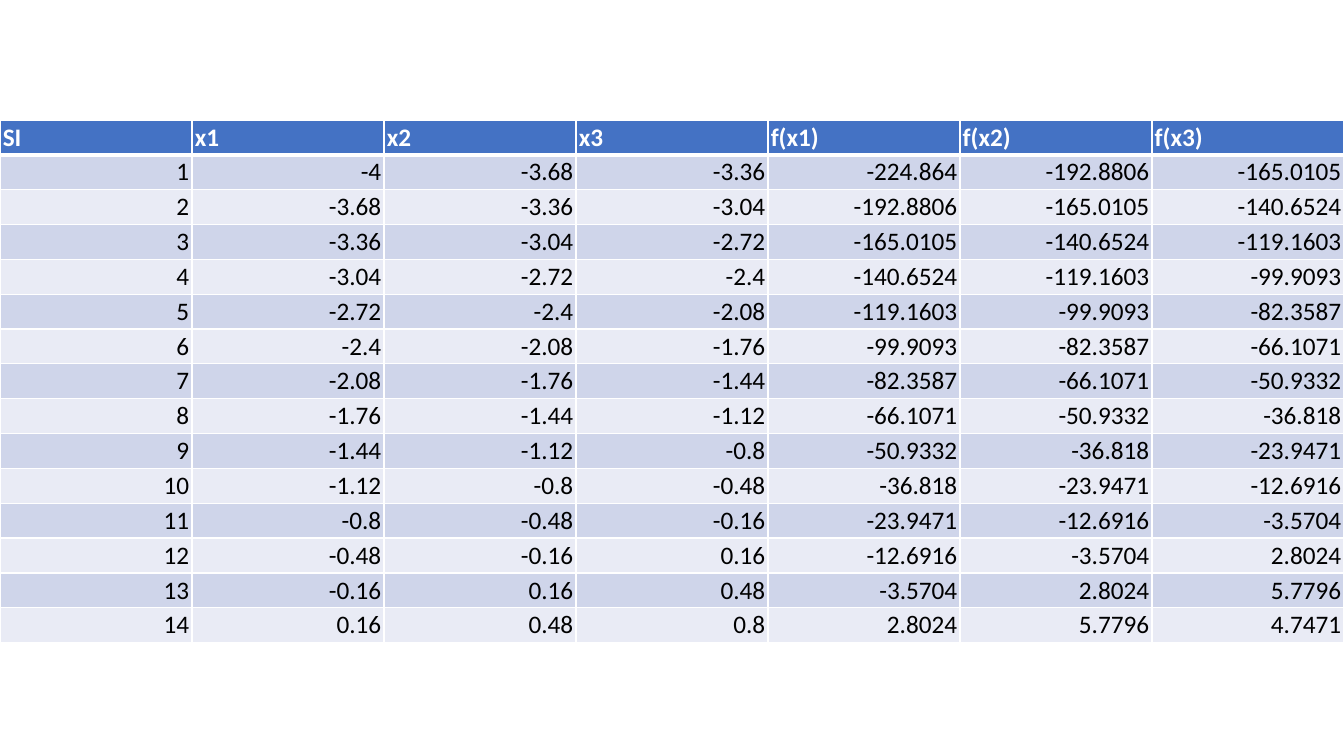
from dataclasses import dataclass
from typing import Any

from lxml.etree import SubElement
from pptx import Presentation
from pptx.dml.color import RGBColor
from pptx.enum.text import MSO_ANCHOR, PP_ALIGN
from pptx.oxml.ns import qn
from pptx.util import Pt

SLIDE_WIDTH, SLIDE_HEIGHT = Pt(960), Pt(540)
TABLE_TOP, TABLE_HEIGHT = Pt(85.7), Pt(368.6)
RULE_COLOUR = "FFFFFF"
THIN_RULE, HEADER_RULE = Pt(1), Pt(3)
CELL_FORMAT = {
    "vertical_anchor": MSO_ANCHOR.BOTTOM,
    "margin_left": Pt(2),
    "margin_right": Pt(2),
    "margin_top": Pt(1.45),
    "margin_bottom": Pt(1.45),
}

HEADINGS = ["SI", "x1", "x2", "x3", "f(x1)", "f(x2)", "f(x3)"]
X_START, X_STEP, POINTS_PER_ROW = -4, 0.32, 3
FUNCTION_VALUES = [
    -224.864, -192.8806, -165.0105, -140.6524, -119.1603, -99.9093,
    -82.3587, -66.1071, -50.9332, -36.818, -23.9471, -12.6916,
    -3.5704, 2.8024, 5.7796, 4.7471,
]


@dataclass(frozen=True)
class RowStyle:
    """Look shared by all cells of a row."""
    fill: str
    text: str
    bold: bool
    alignment: Any
    top_rule: int = THIN_RULE
    bottom_rule: int = THIN_RULE


HEADER = RowStyle("4472C4", "FFFFFF", True, PP_ALIGN.LEFT, bottom_rule=HEADER_RULE)
FIRST_BODY = RowStyle("CFD5EA", "000000", False, PP_ALIGN.RIGHT, top_rule=HEADER_RULE)
ODD_BODY = RowStyle("CFD5EA", "000000", False, PP_ALIGN.RIGHT)
EVEN_BODY = RowStyle("E9EBF5", "000000", False, PP_ALIGN.RIGHT)


def colour(value: str) -> RGBColor:
    """Turn a hex string into a colour."""
    return RGBColor.from_string(value)


def apply_format(target: Any, values: dict[str, Any]) -> None:
    """Set each named attribute on the target."""
    for name, value in values.items():
        setattr(target, name, value)


def search_rows() -> list[list[str]]:
    """Slide a three-point window along the evenly spaced x values."""
    x_values = [round(X_START + X_STEP * i, 2) for i in range(len(FUNCTION_VALUES))]
    rows = []
    for start in range(len(x_values) - POINTS_PER_ROW + 1):
        window = slice(start, start + POINTS_PER_ROW)
        numbers = [start + 1, *x_values[window], *FUNCTION_VALUES[window]]
        rows.append([f"{number:.7g}" for number in numbers])
    return rows


def row_style(index: int) -> RowStyle:
    """Choose the style for a table row."""
    if index < 2:
        return (HEADER, FIRST_BODY)[index]
    return ODD_BODY if index % 2 else EVEN_BODY


def draw_borders(cell: Any, style: RowStyle) -> None:
    """Rule the four sides of a cell."""
    properties = cell._tc.get_or_add_tcPr()
    widths = {"lnL": THIN_RULE, "lnR": THIN_RULE,
              "lnT": style.top_rule, "lnB": style.bottom_rule}
    for side, width in widths.items():
        line = SubElement(properties, qn(f"a:{side}"), w=str(int(width)))
        fill = SubElement(line, qn("a:solidFill"))
        SubElement(fill, qn("a:srgbClr"), val=RULE_COLOUR)


def draw_cell(cell: Any, text: str, style: RowStyle) -> None:
    """Write one cell with its borders, fill and text."""
    apply_format(cell, CELL_FORMAT)
    draw_borders(cell, style)
    cell.fill.solid()
    cell.fill.fore_color.rgb = colour(style.fill)
    para = cell.text_frame.paragraphs[0]
    para.alignment = style.alignment
    span = para.add_run()
    span.text = text
    apply_format(span.font, {"name": "Calibri", "size": Pt(18), "bold": style.bold})
    span.font.color.rgb = colour(style.text)


def draw_table(page: Any, rows: list[list[str]]) -> None:
    """Draw the table across the full page width."""
    table = page.shapes.add_table(
        len(rows), len(rows[0]), Pt(0), TABLE_TOP, SLIDE_WIDTH, TABLE_HEIGHT
    ).table
    for row_index, texts in enumerate(rows):
        for column_index, text in enumerate(texts):
            draw_cell(table.cell(row_index, column_index), text, row_style(row_index))


deck = Presentation()
apply_format(deck, {"slide_width": SLIDE_WIDTH, "slide_height": SLIDE_HEIGHT})
page = deck.slides.add_slide(deck.slide_layouts[6])
draw_table(page, [HEADINGS, *search_rows()])
deck.save("out.pptx")
